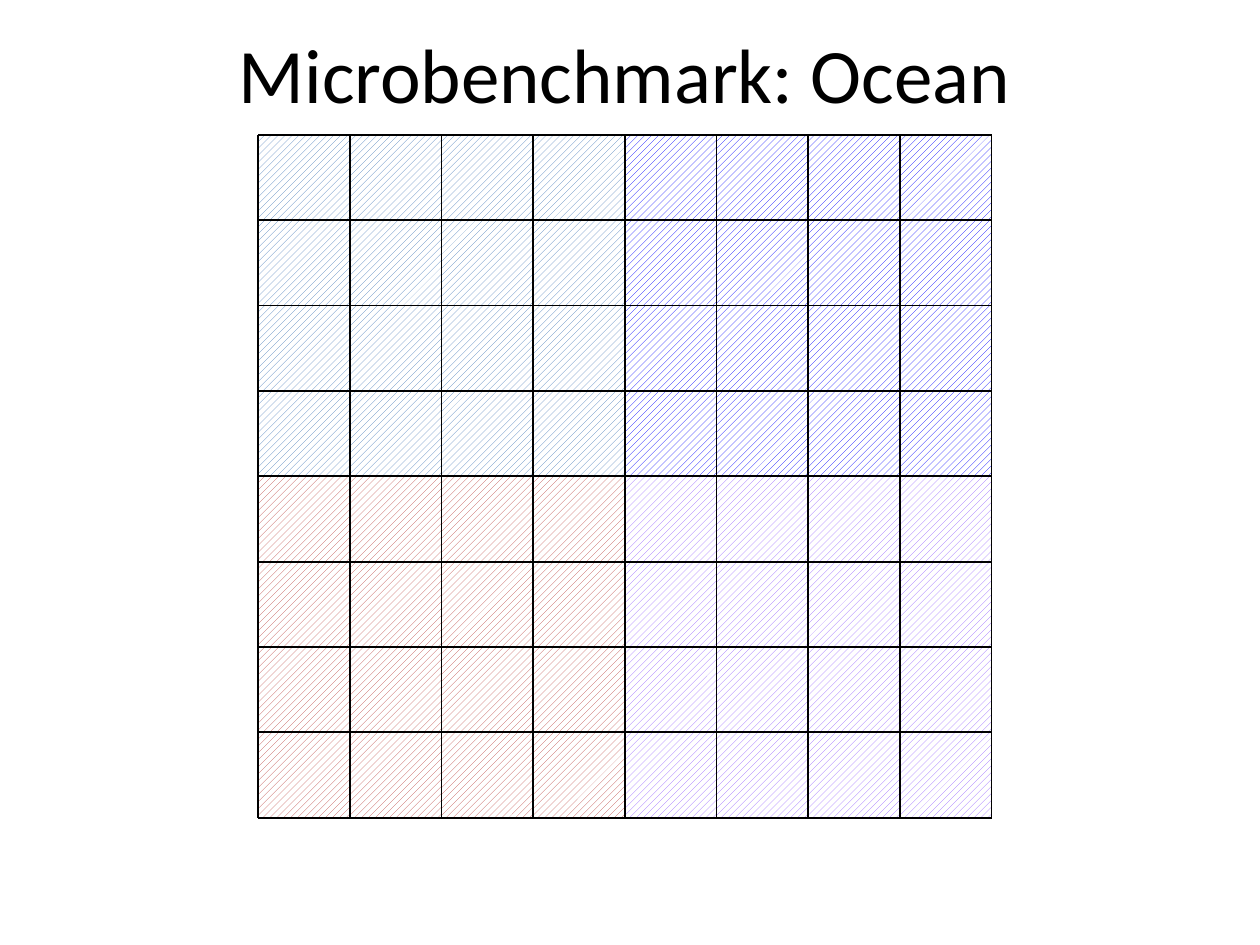
import dataclasses

import lxml.etree
import pptx
import pptx.dml.color
import pptx.enum.dml
import pptx.enum.shapes
import pptx.enum.text
import pptx.oxml.ns
import pptx.util

Inches = pptx.util.Inches


@dataclasses.dataclass(frozen=True)
class Theme:
    font: str = "Calibri"
    title_size: int = 44
    line_width: int = 1
    ink: str = "000000"
    paper: str = "FFFFFF"
    top_left: str = "4F81BD"
    top_right: str = "0000FF"
    bottom_left: str = "C0504D"
    bottom_right: str = "9966FF"


class SlideBuilder:
    """Draw styled elements on one slide."""

    def __init__(self, slide, theme):
        self.slide = slide
        self.theme = theme

    def color(self, value):
        return pptx.dml.color.RGBColor.from_string(value)

    def title(self, text, left, top, width, height):
        shape = self.slide.shapes.title
        shape.left, shape.top = Inches(left), Inches(top)
        shape.width, shape.height = Inches(width), Inches(height)
        text_frame = shape.text_frame
        text_frame.text = text
        text_frame.vertical_anchor = pptx.enum.text.MSO_ANCHOR.MIDDLE
        paragraph = text_frame.paragraphs[0]
        paragraph.alignment = pptx.enum.text.PP_ALIGN.CENTER
        font = paragraph.runs[0].font
        font.name = self.theme.font
        font.size = pptx.util.Pt(self.theme.title_size)
        font.color.rgb = self.color(self.theme.ink)

    def hatched_cell(self, left, top, width, height, color):
        shape = self.slide.shapes.add_shape(
            pptx.enum.shapes.MSO_SHAPE.RECTANGLE,
            Inches(left), Inches(top), Inches(width), Inches(height))
        shape.shadow.inherit = False
        shape.fill.patterned()
        shape.fill.pattern = pptx.enum.dml.MSO_PATTERN.WIDE_UPWARD_DIAGONAL
        shape.fill.fore_color.rgb = self.color(color)
        shape.fill.back_color.rgb = self.color(self.theme.paper)
        shape.line.fill.background()

    def line(self, start_x, start_y, end_x, end_y):
        connector = self.slide.shapes.add_connector(
            pptx.enum.shapes.MSO_CONNECTOR.STRAIGHT,
            Inches(start_x), Inches(start_y), Inches(end_x), Inches(end_y))
        connector.line.color.rgb = self.color(self.theme.ink)
        connector.line.width = pptx.util.Pt(self.theme.line_width)
        properties = connector._element.spPr
        lxml.etree.SubElement(properties, pptx.oxml.ns.qn("a:effectLst"))

    def quadrant_grid(self, left, top, right, bottom, count):
        theme = self.theme
        quadrants = ((theme.top_left, theme.top_right),
                     (theme.bottom_left, theme.bottom_right))
        width = (right - left) / count
        height = (bottom - top) / count
        half = count // 2
        for row in reversed(range(count)):
            for column in reversed(range(count)):
                self.hatched_cell(left + column * width, top + row * height,
                                  width, height,
                                  quadrants[row // half][column // half])
        for row in range(count + 1):
            self.line(left, top + row * height, right, top + row * height)
        for column in range(count + 1):
            self.line(left + column * width, top, left + column * width, bottom)


def main():
    presentation = pptx.Presentation()
    presentation.slide_width = Inches(10)
    presentation.slide_height = Inches(7.5)
    slide = presentation.slides.add_slide(presentation.slide_layouts[5])
    builder = SlideBuilder(slide, Theme())
    builder.title("Microbenchmark: Ocean", 0.25, 0.08, 9.42, 1)
    builder.quadrant_grid(left=2.05, top=1.07, right=7.87, bottom=6.49, count=8)
    presentation.save("out.pptx")


if __name__ == "__main__":
    main()
